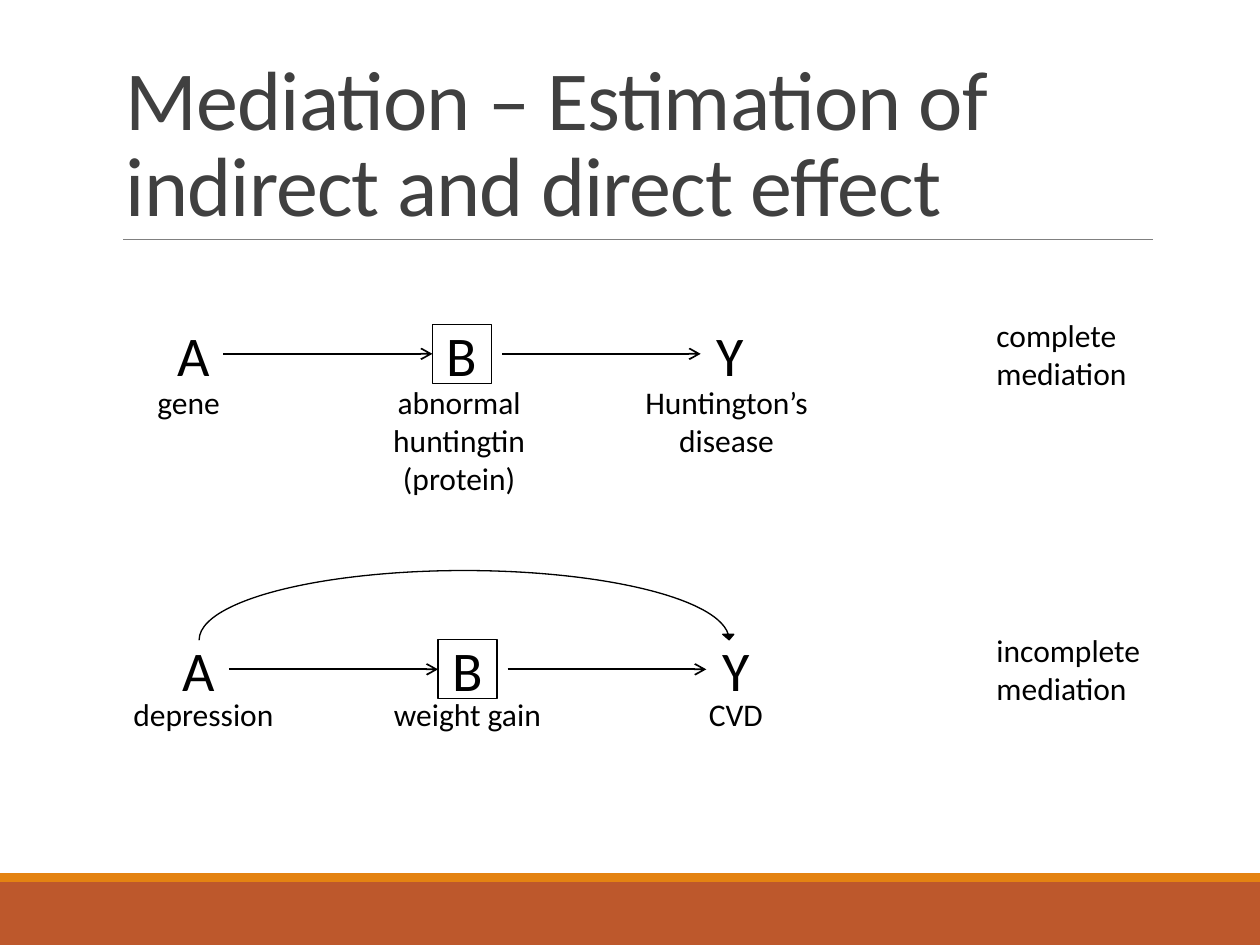
from dataclasses import dataclass

import pptx
import pptx.dml.color
import pptx.enum.shapes
import pptx.enum.text
import pptx.oxml
import pptx.oxml.ns
import pptx.util

Pt = pptx.util.Pt
Shape = pptx.enum.shapes.MSO_SHAPE
Align = pptx.enum.text.PP_ALIGN
Anchor = pptx.enum.text.MSO_ANCHOR

BLACK = "000000"
SIDE = 33.8   # edge of a node
STEP = 153.3  # from one node to the next
GAP = 6       # from B to the start of its arrow


@dataclass
class Label:
    text: str
    mid: float
    width: float


@dataclass
class Path:
    left: float
    mid: float
    label_top: float
    labels: list[Label]
    note: Label
    note_top: float


PATHS = [
    Path(93.8, 202.2, 215.3,
         [Label("gene", 107.8, 50.4),
          Label("abnormal\nhuntingtin\n(protein)", 262.4, 91.4),
          Label("Huntington’s\ndisease", 415.2, 113)],
         Label("complete\nmediation", 607.3, 90), 177.1),
    Path(97, 382.5, 393.8,
         [Label("depression", 116.3, 95.8),
          Label("weight gain", 267.1, 102.2),
          Label("CVD", 420.5, 46.1)],
         Label("incomplete\nmediation", 613.1, 101.5), 357.1),
]


def color(code: str) -> pptx.dml.color.RGBColor:
    return pptx.dml.color.RGBColor.from_string(code)


def add_text(shape, text: str, size: float, code: str = BLACK, align=Align.CENTER) -> None:
    frame = shape.text_frame
    frame.text = text
    for para in frame.paragraphs:
        para.alignment = align
        para.font.name = "Calibri"
        para.font.size = Pt(size)
        para.font.color.rgb = color(code)


def add_box(slide, kind, left: float, top: float, width: float, height: float,
            fill: str = "", line: str = ""):
    box = slide.shapes.add_shape(kind, Pt(left), Pt(top), Pt(width), Pt(height))
    box.shadow.inherit = False
    if fill:
        box.fill.solid()
        box.fill.fore_color.rgb = color(fill)
    else:
        box.fill.background()
    if line:
        box.line.color.rgb = color(line)
        box.line.width = Pt(0.75)
    else:
        box.line.fill.background()
    return box


def add_line(slide, start: float, end: float, y: float, code: str, width: float,
             arrow: bool = False) -> None:
    line = slide.shapes.add_connector(
        pptx.enum.shapes.MSO_CONNECTOR.STRAIGHT, Pt(start), Pt(y), Pt(end), Pt(y))
    line.line.color.rgb = color(code)
    line.line.width = Pt(width)
    if arrow:
        tail = pptx.oxml.parse_xml(
            f'<a:tailEnd {pptx.oxml.ns.nsdecls("a")} type="arrow"/>')
        line.line._get_or_add_ln().append(tail)
    line._element.spPr.append(
        pptx.oxml.parse_xml(f'<a:effectLst {pptx.oxml.ns.nsdecls("a")}/>'))


def add_label(slide, label: Label, top: float, align=Align.CENTER) -> None:
    height = 7.2 + 21.8 * len(label.text.split("\n"))
    box = slide.shapes.add_textbox(
        Pt(label.mid - label.width / 2), Pt(top), Pt(label.width), Pt(height))
    box.text_frame.word_wrap = False
    add_text(box, label.text, 18, align=align)


def add_node(slide, name: str, left: float, mid: float) -> None:
    kind, line = (Shape.RECTANGLE, BLACK) if name == "B" else (Shape.ROUNDED_RECTANGLE, "")
    node = add_box(slide, kind, left, mid - SIDE / 2, SIDE, SIDE, line=line)
    node.text_frame.word_wrap = False
    node.text_frame.vertical_anchor = Anchor.MIDDLE
    add_text(node, name, 32)


def add_path(slide, path: Path) -> None:
    for index, name in enumerate("ABY"):
        add_node(slide, name, path.left + index * STEP, path.mid)
    for index, gap in enumerate((0, GAP)):
        start = path.left + index * STEP
        add_line(slide, start + SIDE + gap, start + STEP, path.mid, BLACK, 1, arrow=True)
    for label in path.labels:
        add_label(slide, label, path.label_top)
    add_label(slide, path.note, path.note_top, Align.LEFT)


def add_title(slide) -> None:
    title = slide.shapes.add_textbox(Pt(64.8), Pt(22.3), Pt(594), Pt(114.5))
    title.text_frame.word_wrap = True
    title.text_frame.vertical_anchor = Anchor.BOTTOM
    add_text(title, "Mediation – Estimation of indirect and direct effect",
             48, "404040", Align.LEFT)
    para = title.text_frame.paragraphs[0]
    para.line_spacing = 0.85
    para.runs[0].font._element.set("spc", "-50")


def main() -> None:
    deck = pptx.Presentation()
    deck.slide_width, deck.slide_height = Pt(720), Pt(540)
    slide = deck.slides.add_slide(deck.slide_layouts[6])
    add_box(slide, Shape.RECTANGLE, 0, 504, 720, 36, "BD582C")
    add_box(slide, Shape.RECTANGLE, 0, 499, 720, 5, "E48312")
    add_line(slide, 70.5, 658.8, 136.8, "808080", 0.5)
    add_title(slide)
    for path in PATHS:
        add_path(slide, path)
    arc = add_box(slide, Shape.CURVED_DOWN_ARROW, 113.8, 326, 306, 39.6, BLACK, BLACK)
    for index, value in enumerate((0, 0.16, 0.08)):
        arc.adjustments[index] = value
    deck.save("out.pptx")


if __name__ == "__main__":
    main()
